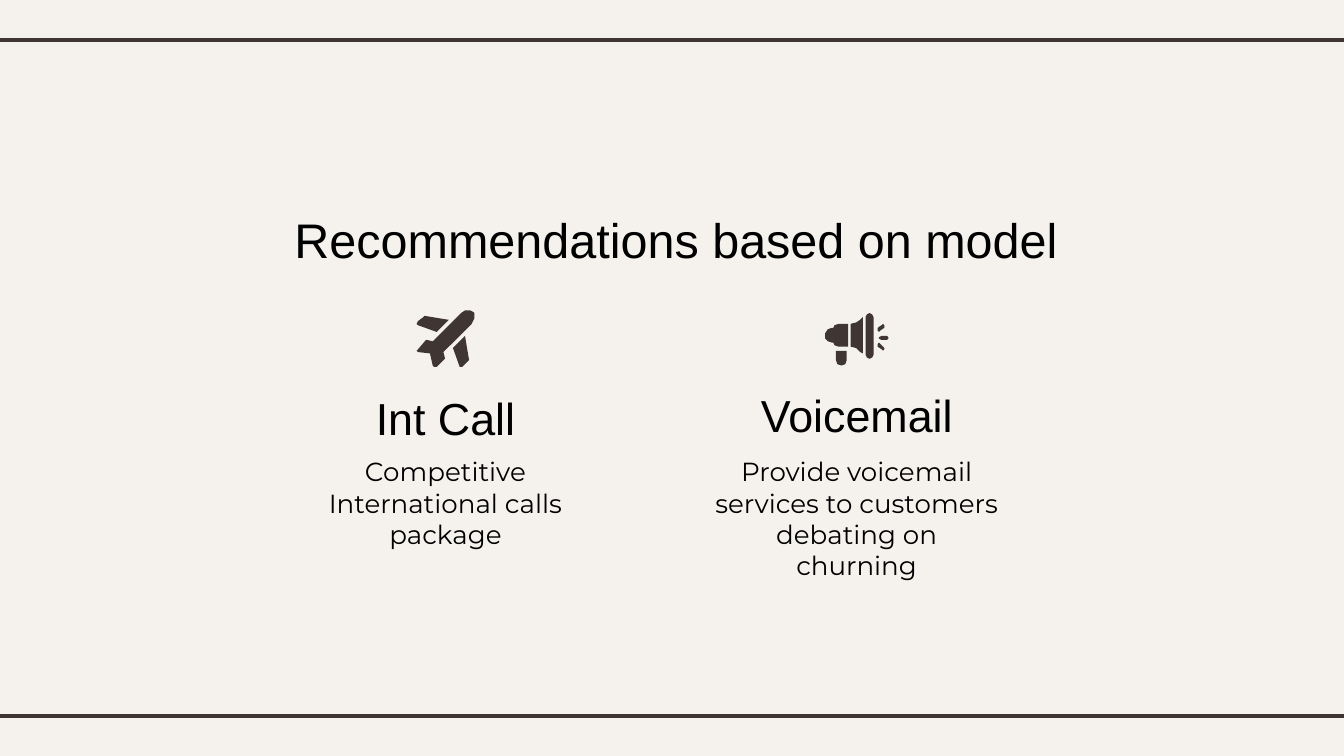
from pptx import Presentation
from pptx.dml.color import RGBColor
from pptx.enum.text import MSO_ANCHOR, MSO_AUTO_SIZE, PP_ALIGN
from pptx.oxml.ns import qn
from pptx.util import Inches, Pt

# Content
TITLE = "Recommendations based on model"
INK, PAPER, BLACK = "3F3533", "F5F2EE", "000000"
RULES = [0.3, 5.33]

# Icon outlines, in hundredths of an inch on the slide
PLANE = [
    [(348, 231), (346, 231), (343, 233), (322, 254), (318, 253), (317, 253),
     (311, 260), (310, 261), (311, 262), (320, 263), (322, 272), (323, 273),
     (325, 273), (331, 267), (331, 266), (330, 262), (351, 241), (353, 237),
     (353, 233), (352, 232), (350, 231)],
    [(316, 235), (315, 236), (311, 239), (310, 241), (311, 242), (325, 247),
     (334, 238)],
    [(346, 250), (337, 259), (342, 273), (344, 273), (348, 269), (349, 268)],
]
MEGAPHONE = [
    [(656, 250), (654, 251), (654, 252), (656, 253), (660, 253), (661, 252),
     (661, 251), (660, 250)],
    [(654, 255), (653, 256), (653, 258), (656, 260), (657, 261), (658, 260),
     (658, 259), (655, 256)],
    [(657, 241), (656, 242), (653, 244), (653, 246), (654, 247), (655, 246),
     (658, 244), (658, 242)],
    [(624, 241), (621, 242), (620, 244), (619, 244), (616, 245), (614, 248),
     (614, 252), (616, 254), (619, 255), (620, 255), (621, 257), (624, 258),
     (631, 258), (631, 241)],
    [(647, 233), (645, 234), (644, 236), (644, 264), (645, 266), (647, 267),
     (649, 266), (650, 264), (650, 236), (649, 234)],
    [(622, 261), (622, 268), (623, 271), (626, 272), (629, 271), (630, 268),
     (630, 261)],
    [(642, 236), (640, 238), (637, 240), (633, 241), (633, 258), (637, 259),
     (640, 262), (642, 263)],
]

# Left edge, heading, heading top, description, description height, icon
COLUMNS = [
    (2.15, "Int Call", 2.91, "Competitive International calls package", 0.89, PLANE),
    (5.21, "Voicemail", 2.89,
     "Provide voicemail services to customers debating on churning", 1.16, MEGAPHONE),
]
COL_W, HEAD_H, BODY_TOP = 2.33, 0.39, 3.29


def rgb(color):
    return RGBColor.from_string(color)


def write(sp, text, size, font, align, anchor):
    tf = sp.text_frame
    tf.word_wrap = True
    tf.auto_size = MSO_AUTO_SIZE.NONE
    tf.vertical_anchor = anchor
    tf.margin_left = tf.margin_right = tf.margin_top = tf.margin_bottom = Inches(0.1)
    p = tf.paragraphs[0]
    p.text = text
    p.alignment = align
    p.font.size, p.font.name = Pt(size), font
    p.font.color.rgb = rgb(BLACK)


def add_text(s, x, y, w, h, text, size, font, anchor):
    box = s.shapes.add_textbox(*map(Inches, (x, y, w, h)))
    write(box, text, size, font, PP_ALIGN.CENTER, anchor)


def add_icon(s, outlines):
    group = s.shapes.add_group_shape()
    for start, *rest in outlines:
        builder = group.shapes.build_freeform(*start, scale=Inches(0.01))
        builder.add_line_segments(rest, close=True)
        sp = builder.convert_to_shape()
        sp.shadow.inherit = False
        sp.fill.solid()
        sp.fill.fore_color.rgb = rgb(INK)
        sp.line.fill.background()


# Widescreen 16:9 slide
prs = Presentation()
prs.slide_width = Inches(10)
prs.slide_height = prs.slide_width * 9 // 16
s = prs.slides.add_slide(prs.slide_layouts[5])
s.background.fill.solid()
s.background.fill.fore_color.rgb = rgb(PAPER)

# Rules at top and bottom
for y in RULES:
    rule = s.shapes.add_connector(1, Inches(-0.08), Inches(y), Inches(10.08), Inches(y))
    rule.line.color.rgb = rgb(INK)
    rule.line.width = Pt(2.25)
    sp_pr = rule._element.spPr
    sp_pr.append(sp_pr.makeelement(qn("a:effectLst"), {}))

# Title
title = s.shapes.title
title.left, title.top, title.width, title.height = map(Inches, (2.09, 1.46, 7.28, 0.63))
write(title, TITLE, 26, "Arial", PP_ALIGN.LEFT, MSO_ANCHOR.TOP)

# Recommendation columns
for x, head, head_top, body, body_h, icon in COLUMNS:
    add_text(s, x, head_top, COL_W, HEAD_H, head, 24, "Arial", MSO_ANCHOR.MIDDLE)
    add_text(s, x, BODY_TOP, COL_W, body_h, body, 14, "Montserrat", MSO_ANCHOR.TOP)
    add_icon(s, icon)

prs.save("out.pptx")
